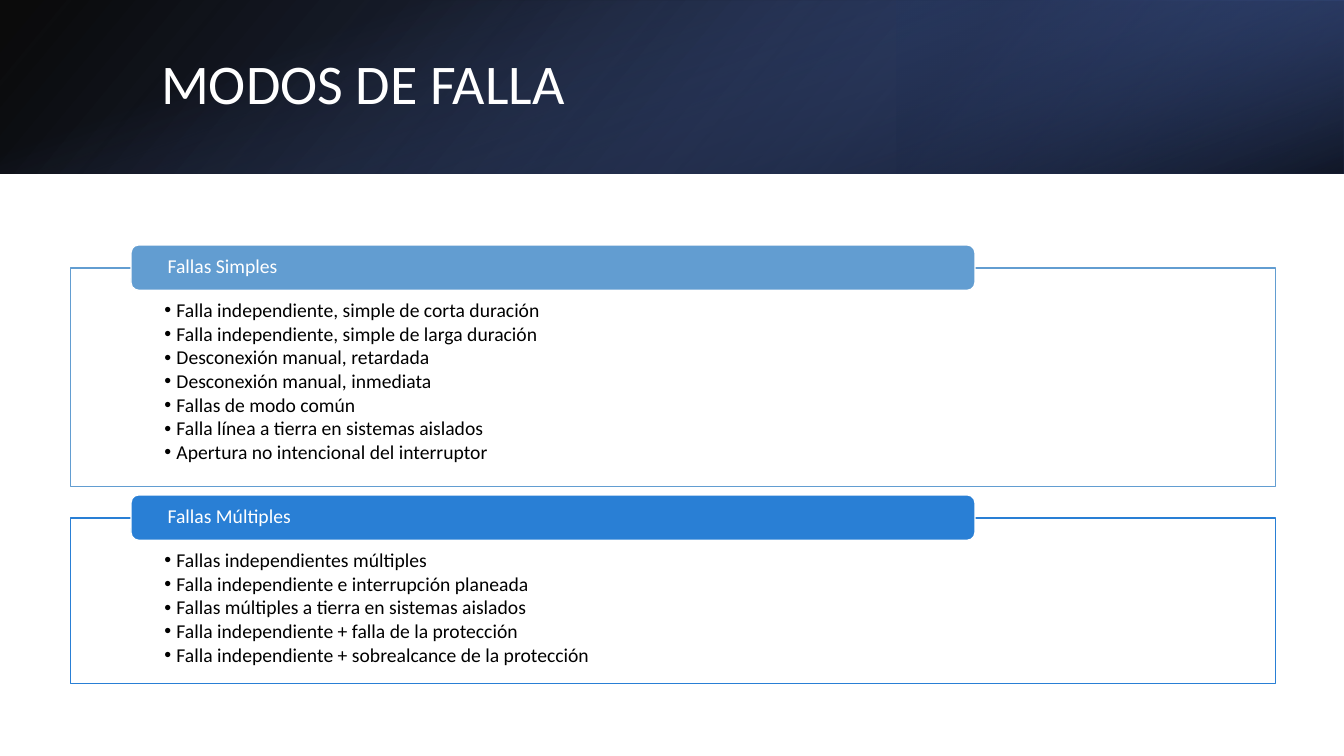
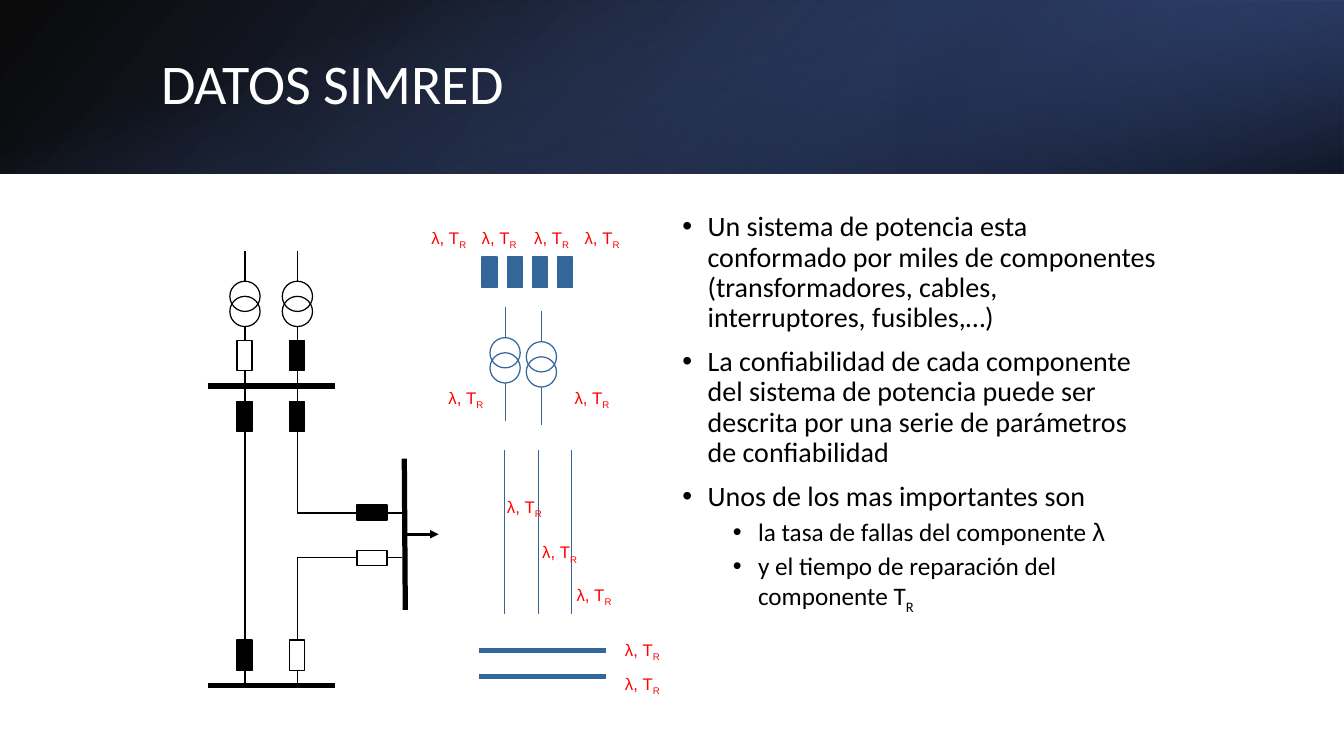
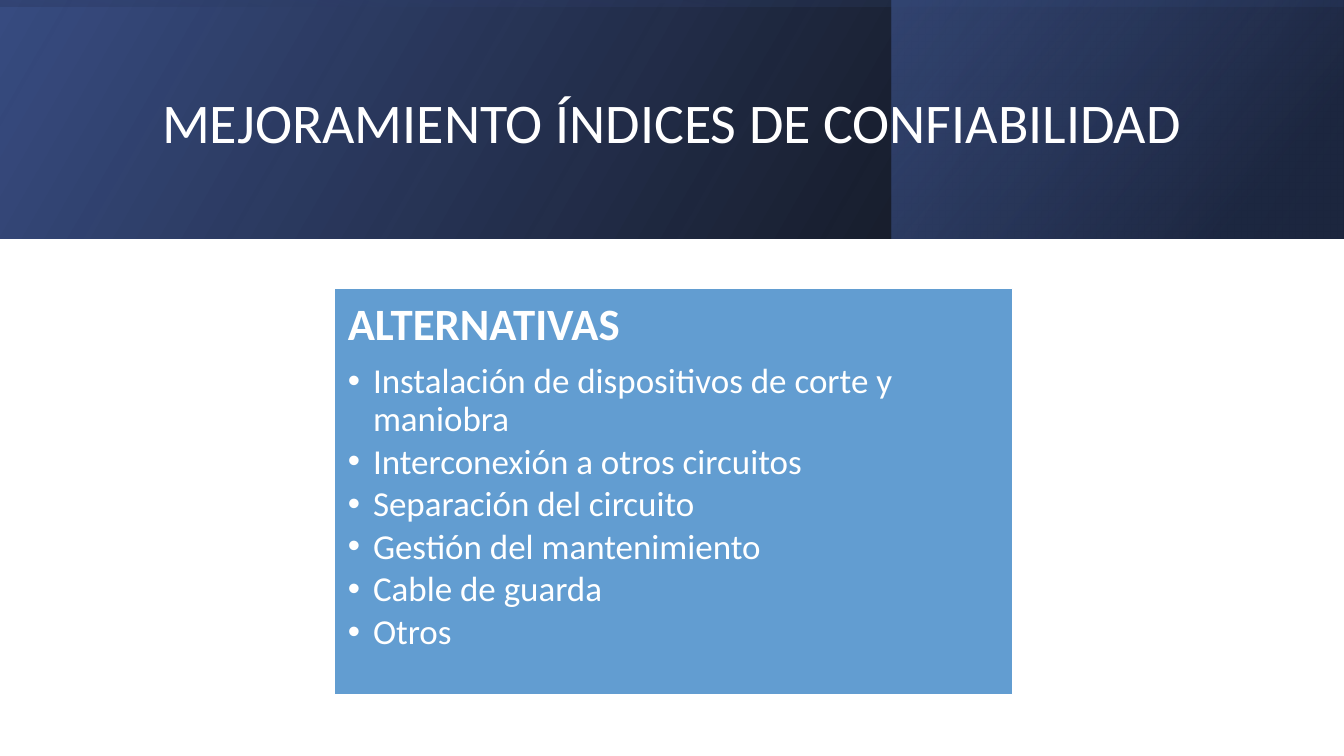
import dataclasses

import lxml.etree
import pptx
import pptx.dml.color
import pptx.enum.shapes
import pptx.enum.text
import pptx.oxml.ns
import pptx.util

Inches = pptx.util.Inches
Pt = pptx.util.Pt
SHAPE = pptx.enum.shapes.MSO_SHAPE
ANCHOR = pptx.enum.text.MSO_ANCHOR
RGB = pptx.dml.color.RGBColor.from_string
qn = pptx.oxml.ns.qn


@dataclasses.dataclass(frozen=True)
class Theme:
    black: str = "000000"
    white: str = "FFFFFF"
    sky: str = "629DD1"
    azure: str = "297FD5"
    navy: str = "384C81"
    indigo: str = "4A66AC"
    midnight: str = "253356"
    steel: str = "336699"
    red: str = "FF0000"
    body_font: str = "Calibri"
    symbol_font: str = "Arial"
    title_size: int = 40
    heading_size: int = 32
    option_size: int = 25
    body_size: int = 20
    sub_size: int = 18
    list_size: int = 14
    label_size: int = 12
    thin: float = 0.88
    edge: float = 1
    arrow: float = 2
    bus: float = 3.75


@dataclasses.dataclass(frozen=True)
class Style:
    size: int
    color: str
    bold: bool = False
    left: float = 0
    hang: float = 0
    before: float = 0
    after: float = 0
    leading: float = 0.9


theme = Theme()


def draw(page, kind, box, fill=None, line=None, width=theme.thin):
    shape = page.shapes.add_shape(kind, *[Inches(v) for v in box])
    shape.shadow.inherit = False
    if fill:
        shape.fill.solid()
        shape.fill.fore_color.rgb = RGB(fill)
    else:
        shape.fill.background()
    if line:
        shape.line.color.rgb = RGB(line)
        shape.line.width = Pt(width)
    else:
        shape.line.fill.background()
    return shape


def write(shape, rows, margins=(0.1, 0.05), anchor=ANCHOR.TOP, wrap=True):
    """Each row is a Style and its spans of (text, font, baseline)."""
    frame = shape.text_frame
    frame.word_wrap = wrap
    frame.vertical_anchor = anchor
    frame.margin_left = frame.margin_right = Inches(margins[0])
    frame.margin_top = frame.margin_bottom = Inches(margins[1])
    for number, (style, spans) in enumerate(rows):
        para = frame.add_paragraph() if number else frame.paragraphs[0]
        para.alignment = pptx.enum.text.PP_ALIGN.LEFT
        para.line_spacing = style.leading
        para.space_before = Pt(style.before)
        para.space_after = Pt(style.after)
        if style.hang:
            settings = para._p.get_or_add_pPr()
            settings.set("marL", str(Inches(style.left)))
            settings.set("indent", str(-Inches(style.hang)))
            font = lxml.etree.SubElement(settings, qn("a:buFont"))
            font.set("typeface", theme.symbol_font)
            lxml.etree.SubElement(settings, qn("a:buChar")).set("char", "•")
        for text, font_name, baseline in spans:
            span = para.add_run()
            span.text = text
            span.font.name = font_name
            span.font.size = Pt(style.size)
            span.font.bold = style.bold
            span.font.color.rgb = RGB(style.color)
            if baseline:
                span.font._element.set("baseline", str(baseline * 1000))


deck = pptx.Presentation()
deck.slide_width = Inches(13.33)
deck.slide_height = Inches(7.5)

# Title bands: box, rotation, flip, angle, stops of (position, colour, opacity)
base_stops = [(0, theme.black, 96), (100, theme.navy, 100)]
plain_band = [
    ((0, 0, 13.33, 1.72), 0, True, 140, base_stops),
    ((8.89, 0, 4.44, 1.72), 180, True, 320, [(19, theme.midnight, 68), (100, theme.indigo, 79)]),
    ((5.8, -5.8, 1.72, 13.33), 90, False, 340, [(23, theme.indigo, 0), (99, theme.black, 74)]),
]
tall_band = [
    ((0, 0, 13.33, 2.37), 0, True, 330, base_stops),
    ((8.84, 0, 4.48, 2.37), 0, True, 320, [(19, theme.midnight, 68), (100, theme.indigo, 48)]),
    ((5.48, -5.48, 2.37, 13.33), 270, True, 350, [(23, theme.navy, 16), (99, theme.black, 45)]),
]
title_style = Style(theme.title_size, theme.white)
plain_title = (1.5, 0.38, 10.98, 0.96)
pages = []
for title, band, title_box in [
    ("MODOS DE FALLA", plain_band, plain_title),
    ("DATOS SIMRED", plain_band, plain_title),
    ("MEJORAMIENTO ÍNDICES DE CONFIABILIDAD", tall_band, (1.51, 0.38, 10.63, 1.72)),
]:
    page = deck.slides.add_slide(deck.slide_layouts[6])
    pages.append(page)
    for box, rotation, flip, angle, stops in band:
        layer = draw(page, SHAPE.RECTANGLE, box)
        layer.rotation = rotation
        if flip:
            layer.element.spPr.find(qn("a:xfrm")).set("flipH", "1")
        layer.fill.gradient()
        layer.fill.gradient_angle = 360 - angle
        for stop, (position, color, _) in zip(layer.fill.gradient_stops, stops):
            stop.position = position / 100
            stop.color.rgb = RGB(color)
        for node, (_, _, opacity) in zip(layer.element.spPr.iter(qn("a:srgbClr")), stops):
            lxml.etree.SubElement(node, qn("a:alpha")).set("val", str(opacity * 1000))
    title_area = page.shapes.add_textbox(*[Inches(v) for v in title_box])
    write(title_area, [(title_style, [(title, theme.body_font, 0)])], anchor=ANCHOR.MIDDLE)

modes_page, data_page, options_page = pages

# Failure modes: a framed list under each heading tab
item_style = Style(theme.list_size, theme.black, left=0.12, hang=0.12, after=1.8)
tab_style = Style(theme.list_size, theme.white)
for heading, color, top, height, items in [
    ("Fallas Simples", theme.sky, 2.66, 2.17, [
        "Falla independiente, simple de corta duración",
        "Falla independiente, simple de larga duración",
        "Desconexión manual, retardada",
        "Desconexión manual, inmediata",
        "Fallas de modo común",
        "Falla línea a tierra en sistemas aislados",
        "Apertura no intencional del interruptor",
    ]),
    ("Fallas Múltiples", theme.azure, 5.14, 1.64, [
        "Fallas independientes múltiples",
        "Falla independiente e interrupción planeada",
        "Fallas múltiples a tierra en sistemas aislados",
        "Falla independiente + falla de la protección",
        "Falla independiente + sobrealcance de la protección",
    ]),
]:
    panel = draw(modes_page, SHAPE.RECTANGLE, (0.7, top, 11.95, height),
                 theme.white, color, theme.edge)
    write(panel, [(item_style, [(item, theme.body_font, 0)]) for item in items], (0.93, 0.32))
    tab = draw(modes_page, SHAPE.ROUNDED_RECTANGLE, (1.3, top - 0.23, 8.37, 0.45),
               color, theme.white, theme.edge)
    write(tab, [(tab_style, [(heading, theme.body_font, 0)])], (0.34, 0), ANCHOR.MIDDLE)

# Reliability data: explanation
point_style = Style(theme.body_size, theme.black, left=0.25, hang=0.25, before=10)
sub_style = Style(theme.sub_size, theme.black, left=0.75, hang=0.25, before=5)
explanation = data_page.shapes.add_textbox(Inches(6.67), Inches(2.06), Inches(4.93), Inches(5.24))
write(explanation, [
    (point_style, [("Un sistema de potencia esta conformado por miles de componentes "
                    "(transformadores, cables, interruptores, fusibles,…)", theme.body_font, 0)]),
    (point_style, [("La confiabilidad de cada componente del sistema de potencia puede ser "
                    "descrita por una serie de parámetros de confiabilidad", theme.body_font, 0)]),
    (point_style, [("Unos de los mas importantes son", theme.body_font, 0)]),
    (sub_style, [("la tasa de fallas del componente ", theme.body_font, 0),
                 ("λ", theme.symbol_font, 0)]),
    (sub_style, [("y el tiempo de reparación del componente T", theme.body_font, 0),
                 ("R", theme.body_font, -25)]),
])

# Network wires, buses and load arrow: start, end, colour, width
wires = [
    ((2.43, 6.8), (2.43, 3.83), theme.black, theme.thin),
    ((4.01, 4.55), (4.02, 6.05), theme.black, theme.bus),
    ((4.01, 5.3), (4.35, 5.3), theme.black, theme.arrow),
]
wires += [((2.06, y), (3.32, y), theme.black, theme.bus) for y in (3.83, 6.8)]
wires += [((4.75, y), (6.01, y), theme.steel, theme.bus) for y in (6.45, 6.71)]
wires += [((x, 6.09), (x, 4.46), theme.steel, theme.thin) for x in (5, 5.34, 5.67)]

# Transformers: centre, top of upper coil, length of lower lead, colour
transformers = [
    (2.43, 2.79, 0.59, theme.black),
    (2.95, 2.79, 0.59, theme.black),
    (5.01, 3.35, 0.38, theme.steel),
    (5.37, 3.39, 0.38, theme.steel),
]
for x, top, lead, color in transformers:
    wires += [((x, top - 0.3), (x, top), color, theme.thin),
              ((x, top + 0.45), (x, top + 0.45 + lead), color, theme.thin)]

for start, end, color, width in wires:
    wire = data_page.shapes.add_connector(pptx.enum.shapes.MSO_CONNECTOR.STRAIGHT,
                                          *[Inches(v) for v in start + end])
    wire.line.color.rgb = RGB(color)
    wire.line.width = Pt(width)
    if width == theme.arrow:
        lxml.etree.SubElement(wire.line._get_or_add_ln(), qn("a:tailEnd")).set("type", "triangle")
    lxml.etree.SubElement(wire.element.spPr, qn("a:effectLst"))

# Cables with a bend
for corners in [
    [(2.95, 3.83), (2.95, 5.09), (3.99, 5.09)],
    [(3.99, 5.53), (2.95, 5.53), (2.95, 6.79)],
]:
    points = [(Inches(x), Inches(y)) for x, y in corners]
    builder = data_page.shapes.build_freeform(*points[0])
    builder.add_line_segments(points[1:], close=False)
    cable = builder.convert_to_shape()
    cable.shadow.inherit = False
    cable.fill.background()
    cable.line.color.rgb = RGB(theme.black)
    cable.line.width = Pt(theme.thin)

# Transformer coils
for x, top, lead, color in transformers:
    draw(data_page, SHAPE.OVAL, (x - 0.15, top, 0.3, 0.3), theme.white, color)
    draw(data_page, SHAPE.OVAL, (x - 0.15, top + 0.15, 0.3, 0.3), None, color)

# Breakers: filled when closed, white when open
upright, flat = (0.15, 0.3), (0.3, 0.15)
breakers = [
    (2.35, 3.38, upright, theme.white, theme.black),
    (2.87, 3.38, upright, theme.black, theme.black),
    (2.35, 3.98, upright, theme.black, theme.black),
    (2.87, 3.98, upright, theme.black, theme.black),
    (2.35, 6.35, upright, theme.black, theme.black),
    (2.87, 6.35, upright, theme.white, theme.black),
    (3.54, 5.01, flat, theme.black, theme.black),
    (3.54, 5.46, flat, theme.white, theme.black),
]
breakers += [(4.78 + 0.25 * i, 2.55, upright, theme.steel, theme.steel) for i in range(4)]
for x, y, size, fill, line in breakers:
    draw(data_page, SHAPE.RECTANGLE, (x, y, *size), fill, line)

# Failure rate and repair time labels
label_style = Style(theme.label_size, theme.red, leading=1)
for x, y in [
    (4.18, 2.21), (4.68, 2.21), (5.2, 2.21), (5.7, 2.21),
    (4.35, 3.8), (5.6, 3.8),
    (4.93, 4.88), (5.28, 5.33), (5.62, 5.75),
    (6.1, 6.3), (6.1, 6.63),
]:
    label = data_page.shapes.add_textbox(Inches(x), Inches(y), Inches(0.56), Inches(0.3))
    write(label, [(label_style, [("λ, T", theme.symbol_font, 0), ("R", theme.symbol_font, -25)])],
          wrap=False)

# Improvement options
heading_style = Style(theme.heading_size, theme.white, bold=True, after=10)
option_style = Style(theme.option_size, theme.white, left=0.25, hang=0.25, after=3.4)
options = [
    "Instalación de dispositivos de corte y maniobra",
    "Interconexión a otros circuitos",
    "Separación del circuito",
    "Gestión del mantenimiento",
    "Cable de guarda",
    "Otros",
]
card = draw(options_page, SHAPE.RECTANGLE, (3.32, 2.86, 6.72, 4.03),
            theme.sky, theme.white, theme.edge)
write(card, [(heading_style, [("ALTERNATIVAS", theme.body_font, 0)])]
      + [(option_style, [(option, theme.body_font, 0)]) for option in options], (0.13, 0.13))

deck.save("out.pptx")
